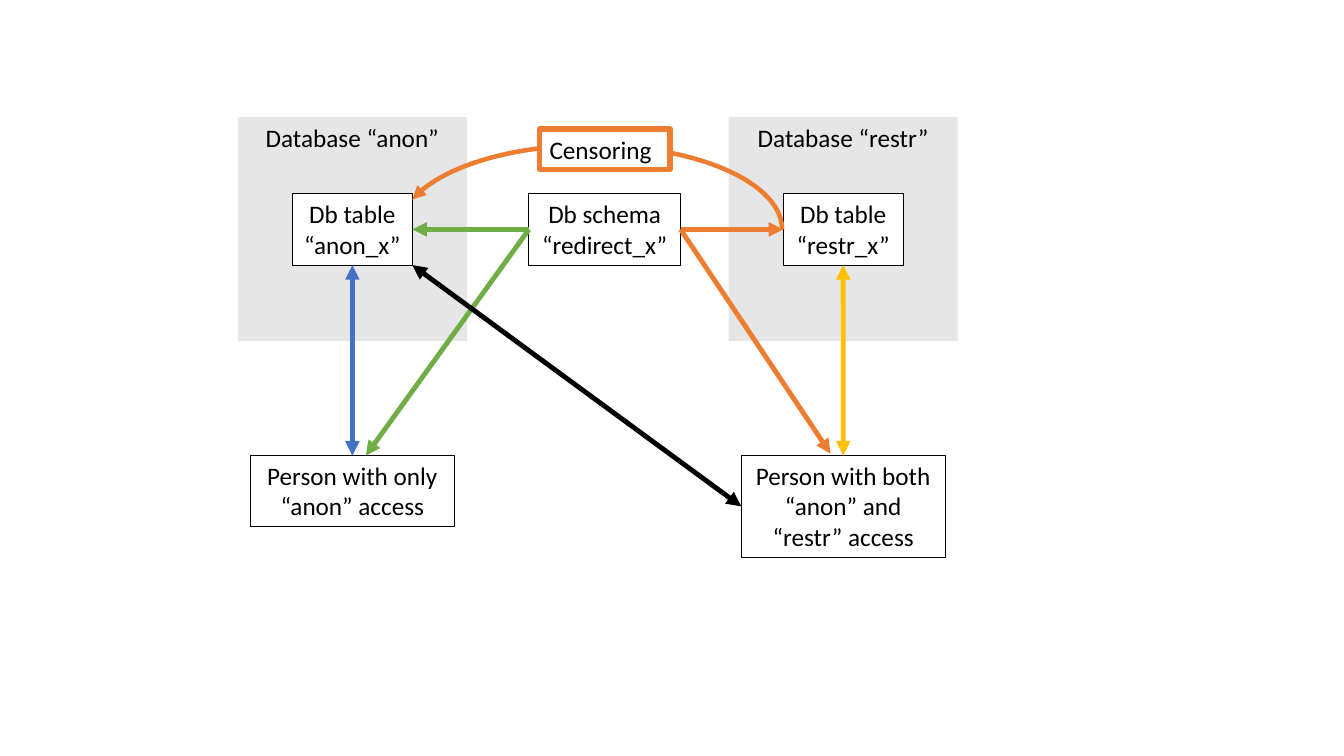
from dataclasses import dataclass
from typing import Optional, Union

from lxml import etree
from pptx import Presentation
from pptx import util as u
from pptx.dml.color import RGBColor
from pptx.enum import shapes, text
from pptx.oxml import ns

COLORS = {
    "white": "FFFFFF",
    "black": "000000",
    "gray": "E7E6E6",
    "blue": "4472C4",
    "green": "70AD47",
    "orange": "ED7D31",
    "yellow": "FFC000",
}
ANON_X, SCHEMA_X, RESTR_X = 8.88, 15.24, 21.25
DATABASE_Y, TABLE_Y, PERSON_Y = 2.95, 4.88, 11.48
TOP, LEFT, BOTTOM, RIGHT = range(4)


@dataclass(frozen=True)
class Box:
    label: str
    center: float
    top: float
    width: float
    height: float
    fill: Optional[str] = "white"
    line: Optional[str] = "black"
    weight: float = 0.75
    align: text.PP_ALIGN = text.PP_ALIGN.CENTER


@dataclass(frozen=True)
class Site:
    box: str
    side: int


@dataclass(frozen=True)
class Point:
    x: float
    y: float


@dataclass(frozen=True)
class Arrow:
    start: Union[Site, Point]
    end: Union[Site, Point]
    color: str
    head: bool = False
    tail: bool = False


BOXES = {
    "anon database": Box("Database “anon”", ANON_X, DATABASE_Y, 5.77, 5.64, "gray", None),
    "restr database": Box("Database “restr”", RESTR_X, DATABASE_Y, 5.77, 5.64, "gray", None),
    "anon table": Box("Db table “anon_x”", ANON_X, TABLE_Y, 3.02, 1.8),
    "restr table": Box("Db table “restr_x”", RESTR_X, TABLE_Y, 3.02, 1.8),
    "schema": Box("Db schema “redirect_x”", SCHEMA_X, TABLE_Y, 3.82, 1.8),
    "anon person": Box("Person with only “anon” access", ANON_X, PERSON_Y, 5.14, 1.8, None),
    "restr person": Box("Person with both “anon” and “restr” access",
                        RESTR_X, PERSON_Y, 5.14, 2.56, None),
}
CENSORING = Box("Censoring", SCHEMA_X, 3.25, 3.28, 1.02, line="orange", weight=4,
                align=text.PP_ALIGN.LEFT)
ARROWS = [
    Arrow(Site("anon person", TOP), Site("anon table", BOTTOM), "blue", True, True),
    Arrow(Point(9.22, PERSON_Y), Site("schema", LEFT), "green", head=True),
    Arrow(Site("schema", LEFT), Site("anon table", RIGHT), "green", tail=True),
    Arrow(Site("restr person", LEFT), Point(10.39, 6.68), "black", True, True),
    Arrow(Point(20.93, 11.43), Site("schema", RIGHT), "orange", head=True),
    Arrow(Site("schema", RIGHT), Site("restr table", LEFT), "orange", tail=True),
    Arrow(Site("restr person", TOP), Site("restr table", BOTTOM), "yellow", True, True),
]


def rgb(name: str) -> RGBColor:
    return RGBColor.from_string(COLORS[name])


def write_text(tf, label: str, *, align: text.PP_ALIGN, size: float = 18,
               color: str = "black", font: str = "Calibri") -> None:
    tf.word_wrap = True
    tf.auto_size = text.MSO_AUTO_SIZE.SHAPE_TO_FIT_TEXT
    tf.vertical_anchor = text.MSO_ANCHOR.TOP
    p = tf.paragraphs[0]
    p.alignment = align
    r = p.add_run()
    r.text = label
    r.font.name = font
    r.font.size = u.Pt(size)
    r.font.color.rgb = rgb(color)


def format_line(sp, color: str, weight: float, head: bool = False, tail: bool = False) -> None:
    sp.line.color.rgb = rgb(color)
    sp.line.width = u.Pt(weight)
    ln = sp.line._get_or_add_ln()
    for tag, shown in (("a:headEnd", head), ("a:tailEnd", tail)):
        if shown:
            etree.SubElement(ln, ns.qn(tag), type="triangle")


def add_box(s, box: Box):
    sp = s.shapes.add_shape(shapes.MSO_SHAPE.RECTANGLE, u.Cm(box.center - box.width / 2),
                            u.Cm(box.top), u.Cm(box.width), u.Cm(box.height))
    sp.shadow.inherit = False
    if box.fill:
        sp.fill.solid()
        sp.fill.fore_color.rgb = rgb(box.fill)
    else:
        sp.fill.background()
    if box.line:
        format_line(sp, box.line, box.weight)
    else:
        sp.line.fill.background()
    write_text(sp.text_frame, box.label, align=box.align)
    return sp


def add_arrow(s, arrow: Arrow, placed: dict) -> None:
    start, end = (Point(0, 0) if isinstance(e, Site) else e for e in (arrow.start, arrow.end))
    cxn = s.shapes.add_connector(shapes.MSO_CONNECTOR.STRAIGHT, u.Cm(start.x), u.Cm(start.y),
                                 u.Cm(end.x), u.Cm(end.y))
    for site, connect in ((arrow.start, cxn.begin_connect), (arrow.end, cxn.end_connect)):
        if isinstance(site, Site):
            connect(placed[site.box], site.side)
    format_line(cxn, arrow.color, 3.5, arrow.head, arrow.tail)
    etree.SubElement(cxn._element.spPr, ns.qn("a:effectLst"))


def add_censoring_arc(s) -> None:
    sp = s.shapes.add_shape(shapes.MSO_SHAPE.ARC, u.Cm(10.08), u.Cm(3.66),
                            u.Cm(9.63), u.Cm(4.24))
    sp.adjustments[0] = 113.67
    sp.adjustments[1] = 0
    sp.shadow.inherit = False
    sp.fill.background()
    format_line(sp, "orange", 3.25, head=True)


def main() -> None:
    prs = Presentation()
    prs.slide_width, prs.slide_height = u.Cm(33.87), u.Cm(19.05)
    s = prs.slides.add_slide(prs.slide_layouts[6])
    placed = {name: add_box(s, box) for name, box in BOXES.items()}
    for arrow in ARROWS:
        add_arrow(s, arrow, placed)
    add_censoring_arc(s)
    add_box(s, CENSORING)
    prs.save("out.pptx")


if __name__ == "__main__":
    main()
